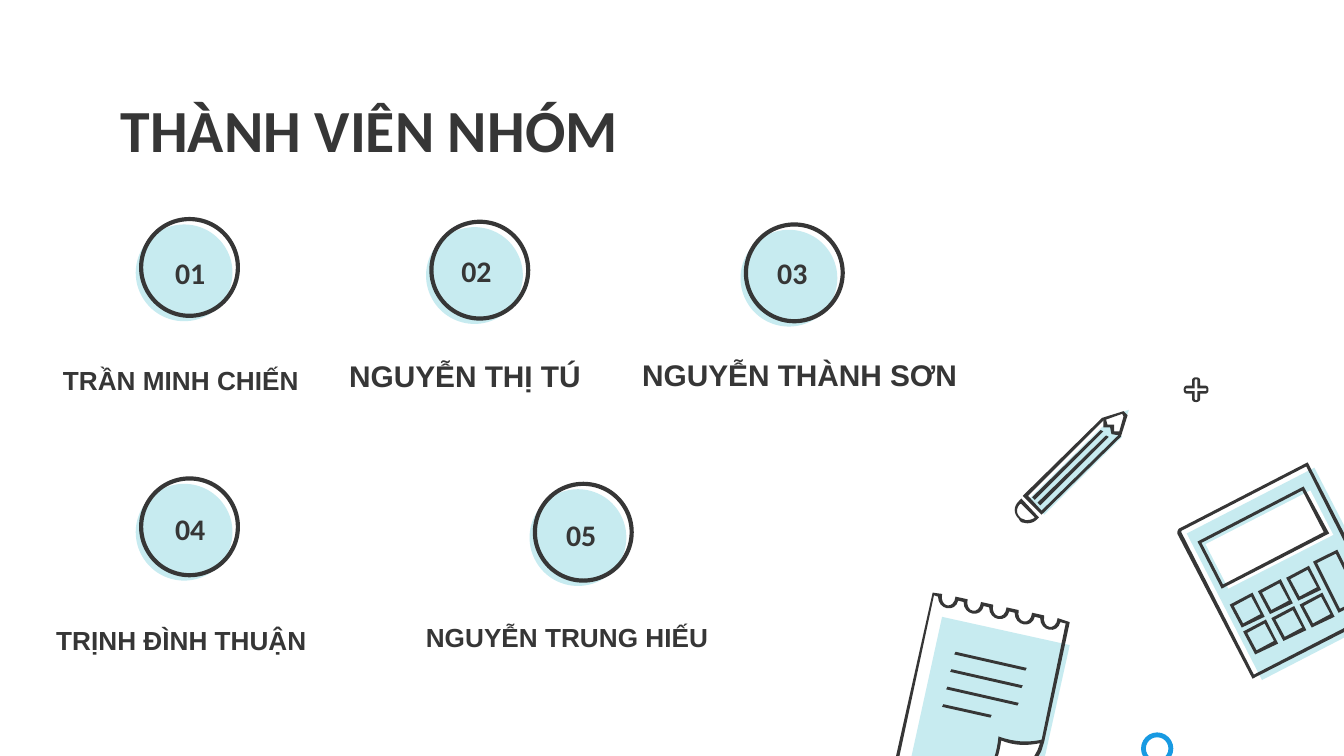
import pptx
import pptx.dml.color
import pptx.enum.shapes
import pptx.enum.text
import pptx.util

Inches = pptx.util.Inches
MSO_SHAPE = pptx.enum.shapes.MSO_SHAPE
ANCHOR = pptx.enum.text.MSO_ANCHOR
ALIGN = pptx.enum.text.PP_ALIGN
DARK, LIGHT, WHITE, BLUE = "363636", "C7EBF0", "FFFFFF", "189AE2"


def paint(sp, fill=None, line=None):
    sp.shadow.inherit = False
    for part, color in ((sp.fill, fill), (sp.line.fill, line)):
        if color:
            part.solid()
            part.fore_color.rgb = pptx.dml.color.RGBColor.from_string(color)
        else:
            part.background()


def outline(shapes, color, *contours):
    fb = None
    for contour in contours:
        pts = []
        for seg in contour:
            if len(seg) == 2:
                pts.append(seg)
                continue
            ends = [pts[-1], seg[:2], seg[2:4], seg[4:]]
            for i in range(1, 9):
                t = i / 8
                weights = ((1 - t) ** 3, 3 * t * (1 - t) ** 2, 3 * t * t * (1 - t), t ** 3)
                pts.append(tuple(sum(w * e[axis] for w, e in zip(weights, ends)) for axis in (0, 1)))
        pts = [(Inches(x), Inches(y)) for x, y in pts]
        if fb is None:
            fb = shapes.build_freeform(*pts[0])
        else:
            fb.move_to(*pts[0])
        fb.add_line_segments(pts[1:], close=True)
    paint(fb.convert_to_shape(), color)


prs = pptx.Presentation()
prs.slide_width, prs.slide_height = Inches(10), Inches(10) * 9 // 16
s = prs.slides.add_slide(prs.slide_layouts[6])

sp = s.shapes.add_shape(MSO_SHAPE.DONUT, Inches(8.49), Inches(5.45), Inches(0.24), Inches(0.24))
sp.adjustments[0] = 0.15
paint(sp, BLUE)

for x, y in ((1.01, 1.67), (3.17, 1.69), (5.51, 1.71), (1.01, 3.6), (3.94, 3.64)):
    badge = s.shapes.add_group_shape().shapes
    for dx, dy, fill, line in ((0, 0, LIGHT, None), (0.04, -0.04, None, DARK)):
        sp = badge.add_shape(MSO_SHAPE.OVAL, Inches(x + dx), Inches(y + dy), Inches(0.72), Inches(0.72))
        paint(sp, fill, line)
        if line:
            sp.line.width = pptx.util.Pt(2.25)

texts = [
    ("THÀNH VIÊN NHÓM", 0.8, 0.59, 8.44, 0.76, 32, "Calibri", ALIGN.LEFT, ANCHOR.TOP),
]
for text, x, y in (("01", 1.11, 1.76), ("02", 3.24, 1.74), ("03", 5.59, 1.76),
                   ("04", 1.11, 3.66), ("05", 4.02, 3.71)):
    texts.append((text, x, y, 0.61, 0.54, 16, "Calibri", ALIGN.CENTER, ANCHOR.MIDDLE))
for text, x, y, w, h, size in (
    ("TRẦN MINH CHIẾN", 0.37, 2.53, 3.25, 0.59, 14),
    ("NGUYỄN THỊ TÚ", 2.5, 2.62, 2.31, 0.35, 16),
    ("NGUYỄN THÀNH SƠN", 4.68, 2.61, 2.98, 0.36, 16),
    ("TRỊNH ĐÌNH THUẬN", 0.32, 4.47, 3.25, 0.59, 14),
    ("NGUYỄN TRUNG HIẾU", 3.07, 4.41, 3.25, 0.66, 14),
):
    texts.append((text, x, y, w, h, size, "Arial", ALIGN.LEFT, ANCHOR.MIDDLE))

for text, x, y, w, h, size, font, align, anchor in texts:
    tf = s.shapes.add_textbox(Inches(x), Inches(y), Inches(w), Inches(h)).text_frame
    frame = {"word_wrap": True, "vertical_anchor": anchor}
    for side in ("left", "top", "right", "bottom"):
        frame[f"margin_{side}"] = Inches(0.1)
    for name, value in frame.items():
        setattr(tf, name, value)
    p = tf.paragraphs[0]
    p.alignment = align
    r = p.add_run()
    r.text = text
    for name, value in {"name": font, "size": pptx.util.Pt(size), "bold": True}.items():
        setattr(r.font, name, value)
    r.font.color.rgb = pptx.dml.color.RGBColor.from_string(DARK)

pencil = s.shapes.add_group_shape().shapes
outline(pencil, LIGHT, [(7.77, 3.83), (8.35, 3.25), (8.32, 3.23), (8.28, 3.22), (8.27, 3.17), (8.22, 3.16), (7.65, 3.72)])
outline(pencil, LIGHT, [(8.38, 3.11), (8.4, 3.05), (8.34, 3.07)])
outline(pencil, DARK,
        [(7.75, 3.8), (7.65, 3.69), (8.21, 3.13), (8.35, 3.08), (8.36, 3.1), (8.32, 3.24)],
        [(7.75, 3.83), (8.34, 3.25), (8.39, 3.09), (8.36, 3.06), (8.2, 3.11), (7.61, 3.69)])
outline(pencil, DARK,
        [(7.63, 3.87), (7.61, 3.86, 7.6, 3.86, 7.59, 3.85), (7.56, 3.82, 7.56, 3.78, 7.59, 3.75),
         (7.6, 3.75), (7.7, 3.85), (7.68, 3.87, 7.65, 3.87, 7.63, 3.87)],
        [(7.62, 3.89), (7.65, 3.9, 7.69, 3.89, 7.71, 3.87), (7.73, 3.85), (7.6, 3.71), (7.58, 3.73),
         (7.54, 3.77, 7.54, 3.82, 7.58, 3.86), (7.59, 3.88, 7.6, 3.89, 7.62, 3.89)])
outline(pencil, DARK, [(8.27, 3.23), (8.33, 3.24), (8.33, 3.21), (8.29, 3.21), (8.29, 3.16), (8.24, 3.16),
                       (8.23, 3.12), (8.21, 3.12), (8.21, 3.18), (8.26, 3.18)])
for dx, dy in ((0, 0), (0.04, 0.04)):
    stripe = [(7.7, 3.72), (8.21, 3.21), (8.19, 3.2), (7.68, 3.7)]
    outline(pencil, DARK, [(x + dx, y + dy) for x, y in stripe])

calc = s.shapes.add_group_shape().shapes
outline(calc, LIGHT, [(9.78, 3.48), (8.83, 3.97), (9.39, 5.06), (10.34, 4.57)])
outline(calc, DARK,
        [(9.72, 3.47), (10.26, 4.54), (9.33, 5.02), (8.79, 3.96), (8.79, 3.95)],
        [(9.73, 3.44), (8.78, 3.93), (8.77, 3.93, 8.76, 3.95, 8.76, 3.97), (9.32, 5.05), (10.3, 4.55)])
outline(calc, WHITE, [(9.75, 3.65), (8.97, 4.05), (9.14, 4.38), (9.92, 3.98)])
outline(calc, DARK,
        [(9.69, 3.65), (9.85, 3.96), (9.1, 4.35), (8.94, 4.04)],
        [(9.7, 3.62), (8.91, 4.03), (9.09, 4.38), (9.89, 3.97)])
key = ([(9.31, 4.44), (9.38, 4.57), (9.25, 4.64), (9.18, 4.51)],
       [(9.32, 4.41), (9.15, 4.5), (9.24, 4.67), (9.41, 4.59)])
for row in range(2):
    for col in range(3):
        dx, dy = 0.21 * col + 0.1 * row, 0.2 * row - 0.1 * col
        outline(calc, DARK, *[[(x + dx, y + dy) for x, y in ring] for ring in key])
outline(calc, DARK,
        [(9.94, 4.12), (10.11, 4.46), (9.97, 4.53), (9.8, 4.19)],
        [(9.95, 4.09), (9.77, 4.18), (9.96, 4.56), (10.14, 4.47)])

note = s.shapes.add_group_shape().shapes
outline(note, LIGHT, [(7.01, 4.59), (6.76, 5.73), (7.38, 5.87), (7.56, 5.91, 7.74, 5.8, 7.78, 5.61), (7.96, 4.8)])
outline(note, WHITE, [(7.44, 5.49), (7.43, 5.59, 7.4, 5.68, 7.33, 5.79), (7.53, 5.83, 7.72, 5.7, 7.76, 5.51),
                      (7.65, 5.54, 7.54, 5.53, 7.44, 5.49)])
outline(note, DARK,
        [(7.45, 5.51), (7.55, 5.55, 7.64, 5.55, 7.74, 5.53), (7.7, 5.68, 7.54, 5.82, 7.35, 5.78),
         (7.41, 5.69, 7.44, 5.6, 7.45, 5.51)],
        [(7.43, 5.48), (7.42, 5.59, 7.39, 5.7, 7.31, 5.8), (7.51, 5.84, 7.73, 5.71, 7.77, 5.5),
         (7.65, 5.53, 7.54, 5.52, 7.43, 5.48)])
inner, outer = [(6.95, 4.43)], [(6.94, 4.41)]
for i in range(5):
    dx, dy = 0.19 * i, 0.04 * i
    for edge, start, curve in (
        (inner, (6.98, 4.44), (6.98, 4.54, 7.11, 4.56, 7.13, 4.47)),
        (outer, (7.01, 4.42), (6.99, 4.52, 7.1, 4.54, 7.11, 4.44)),
    ):
        for seg in (start, curve):
            edge.append(tuple(v + (dy if n % 2 else dx) for n, v in enumerate(seg)))
inner += [(7.93, 4.64), (7.75, 5.51), (7.71, 5.7, 7.52, 5.82, 7.33, 5.78), (6.69, 5.64)]
outer += [(7.96, 4.63), (7.77, 5.52), (7.73, 5.72, 7.53, 5.84, 7.33, 5.8), (6.66, 5.66)]
outline(note, DARK, inner, outer)
for i, (w, h) in enumerate(((0.53, 0.12), (0.53, 0.12), (0.53, 0.12), (0.36, 0.08))):
    x, y = 7.11 - 0.03 * i, 4.85 + 0.13 * i
    outline(note, DARK, [(x, y), (x - 0.01, y + 0.02), (x + w - 0.01, y + h + 0.02), (x + w, y + h)])

rings = []
for arm, reach in ((0.01, 0.08), (0.03, 0.1)):
    ring = []
    for ux, uy in ((0, -1), (1, 0), (0, 1), (-1, 0)):
        base = reach - arm
        spots = [(base, -arm), (reach, -arm), (reach, arm), (base, arm), (arm, arm)]
        pts = [(8.9 + ux * a - uy * b, 2.9 + uy * a + ux * b) for a, b in spots]
        ring += [pts[0], pts[1] + pts[2] + pts[3], pts[4]]
    rings.append(ring)
outline(s.shapes, DARK, *rings)

prs.save("out.pptx")
